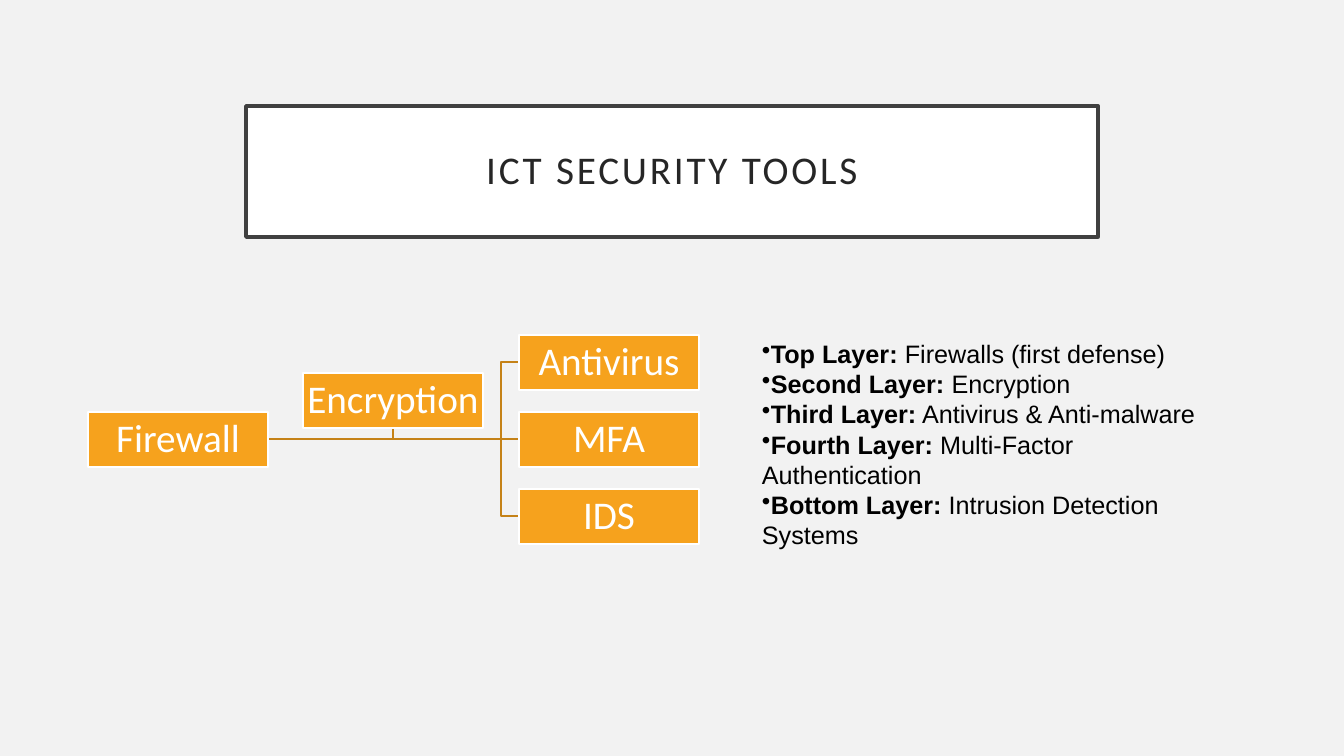
from dataclasses import dataclass
from typing import Any

from lxml import etree
from pptx import Presentation
from pptx import util as u
from pptx.dml.color import RGBColor
from pptx.enum import shapes, text
from pptx.oxml import ns

PX = 914400 / 100.8
COLORS = {
    "background": "F2F2F2", "title_fill": "FFFFFF", "title_line": "404040",
    "title_text": "262626", "box": "F6A21D", "white": "FFFFFF",
    "link": "C58217", "black": "000000",
}

# Diagram grid, in px
BOX_WIDTH, BOX_HEIGHT = 180, 55
COLUMNS = (88, 303, 519)
FIRST_TOP, ROW_STEP = 335, 77
BUS_X = 501


@dataclass(frozen=True)
class Box:
    label: str
    left: int
    top: int

    @property
    def middle(self) -> int:
        return self.top + BOX_HEIGHT // 2


@dataclass(frozen=True)
class Layer:
    name: str
    tool: str


FIREWALL = Box("Firewall", COLUMNS[0], FIRST_TOP + ROW_STEP)
ENCRYPTION = Box("Encryption", COLUMNS[1], FIRST_TOP + ROW_STEP // 2)
TOOLS = [Box(label, COLUMNS[2], FIRST_TOP + row * ROW_STEP)
         for row, label in enumerate(("Antivirus", "MFA", "IDS"))]
LAYERS = [
    Layer("Top Layer:", "Firewalls (first defense)"),
    Layer("Second Layer:", "Encryption"),
    Layer("Third Layer:", "Antivirus & Anti-malware"),
    Layer("Fourth Layer:", "Multi-Factor Authentication"),
    Layer("Bottom Layer:", "Intrusion Detection Systems"),
]


def px(length: int) -> u.Emu:
    return u.Emu(round(length * PX))


def color(name: str) -> RGBColor:
    return RGBColor.from_string(COLORS[name])


def apply(target: Any, values: dict[str, Any]) -> None:
    for name, value in values.items():
        setattr(target, name, value)


def place(shape: Any, left: int, top: int, width: int, height: int) -> None:
    apply(shape, {"left": px(left), "top": px(top),
                  "width": px(width), "height": px(height)})


def paint(shape: Any, fill: str, line: str, width: float) -> None:
    shape.fill.solid()
    shape.fill.fore_color.rgb = color(fill)
    shape.line.color.rgb = color(line)
    shape.line.width = u.Pt(width)


def format_frame(shape: Any, inset: int) -> None:
    margins = {f"margin_{side}": px(inset)
               for side in ("left", "top", "right", "bottom")}
    apply(shape.text_frame, {"word_wrap": True,
                             "vertical_anchor": text.MSO_ANCHOR.MIDDLE, **margins})


def add_run(paragraph: Any, words: str, font: str, size: int,
            color_name: str, bold: bool = False) -> Any:
    run = paragraph.add_run()
    run.text = words
    apply(run.font, {"name": font, "size": u.Pt(size), "bold": bold})
    run.font.color.rgb = color(color_name)
    return run


def add_heading(shape: Any, words: str, color_name: str) -> Any:
    paragraph = shape.text_frame.paragraphs[0]
    apply(paragraph, {"alignment": text.PP_ALIGN.CENTER, "line_spacing": 0.9})
    return add_run(paragraph, words, "Calibri", 28, color_name)


def add_box(slide: Any, box: Box) -> None:
    shape = slide.shapes.add_shape(
        shapes.MSO_SHAPE.RECTANGLE, px(box.left), px(box.top),
        px(BOX_WIDTH), px(BOX_HEIGHT))
    shape.shadow.inherit = False
    paint(shape, "box", "white", 1)
    format_frame(shape, 2)
    add_heading(shape, box.label, "white")


def add_elbow(slide: Any, points: list[tuple[int, int]]) -> None:
    builder = slide.shapes.build_freeform(*points[0], scale=PX)
    builder.add_line_segments(points[1:], close=False)
    shape = builder.convert_to_shape()
    shape.shadow.inherit = False
    shape.fill.background()
    shape.line.color.rgb = color("link")
    shape.line.width = u.Pt(1)


def add_line(slide: Any, start: tuple[int, int], end: tuple[int, int]) -> None:
    line = slide.shapes.add_connector(
        shapes.MSO_CONNECTOR.STRAIGHT, *map(px, start + end))
    line.line.color.rgb = color("link")
    line.line.width = u.Pt(1)
    etree.SubElement(line._element.spPr, ns.qn("a:effectLst"))


def add_title(slide: Any) -> None:
    title = slide.shapes.title
    place(title, 246, 106, 852, 131)
    paint(title, "title_fill", "title_line", 2.5)
    format_frame(title, 20)
    run = add_heading(title, "ICT SECURITY TOOLS", "title_text")
    run.font._element.set("spc", "200")


def add_layers(slide: Any) -> None:
    body = slide.shapes.add_textbox(px(752), px(332), px(491), px(224))
    format_frame(body, 10)
    frame = body.text_frame
    frame.auto_size = text.MSO_AUTO_SIZE.SHAPE_TO_FIT_TEXT
    for index, layer in enumerate(LAYERS):
        paragraph = frame.add_paragraph() if index else frame.paragraphs[0]
        properties = paragraph._p.get_or_add_pPr()
        properties.set("marL", "0")
        properties.set("indent", "0")
        etree.SubElement(properties, ns.qn("a:buChar"), char="•")
        add_run(paragraph, layer.name, "Arial", 18, "black", True)
        add_run(paragraph, f" {layer.tool}", "Arial", 18, "black")


def add_diagram(slide: Any) -> None:
    # Links run behind the boxes
    start = (FIREWALL.left + BOX_WIDTH, FIREWALL.middle)
    branch_x = ENCRYPTION.left + BOX_WIDTH // 2
    add_elbow(slide, [start, (branch_x, FIREWALL.middle),
                      (branch_x, ENCRYPTION.top + BOX_HEIGHT)])
    for tool in TOOLS:
        end = (tool.left, tool.middle)
        if tool.middle == FIREWALL.middle:
            add_line(slide, start, end)
        else:
            add_elbow(slide, [start, (BUS_X, FIREWALL.middle),
                              (BUS_X, tool.middle), end])
    # Boxes
    for box in (FIREWALL, *TOOLS, ENCRYPTION):
        add_box(slide, box)


def main() -> None:
    presentation = Presentation()
    apply(presentation, {"slide_width": px(1344), "slide_height": px(756)})
    slide = presentation.slides.add_slide(presentation.slide_layouts[5])
    slide.background.fill.solid()
    slide.background.fill.fore_color.rgb = color("background")
    add_title(slide)
    add_layers(slide)
    add_diagram(slide)
    presentation.save("out.pptx")


if __name__ == "__main__":
    main()
